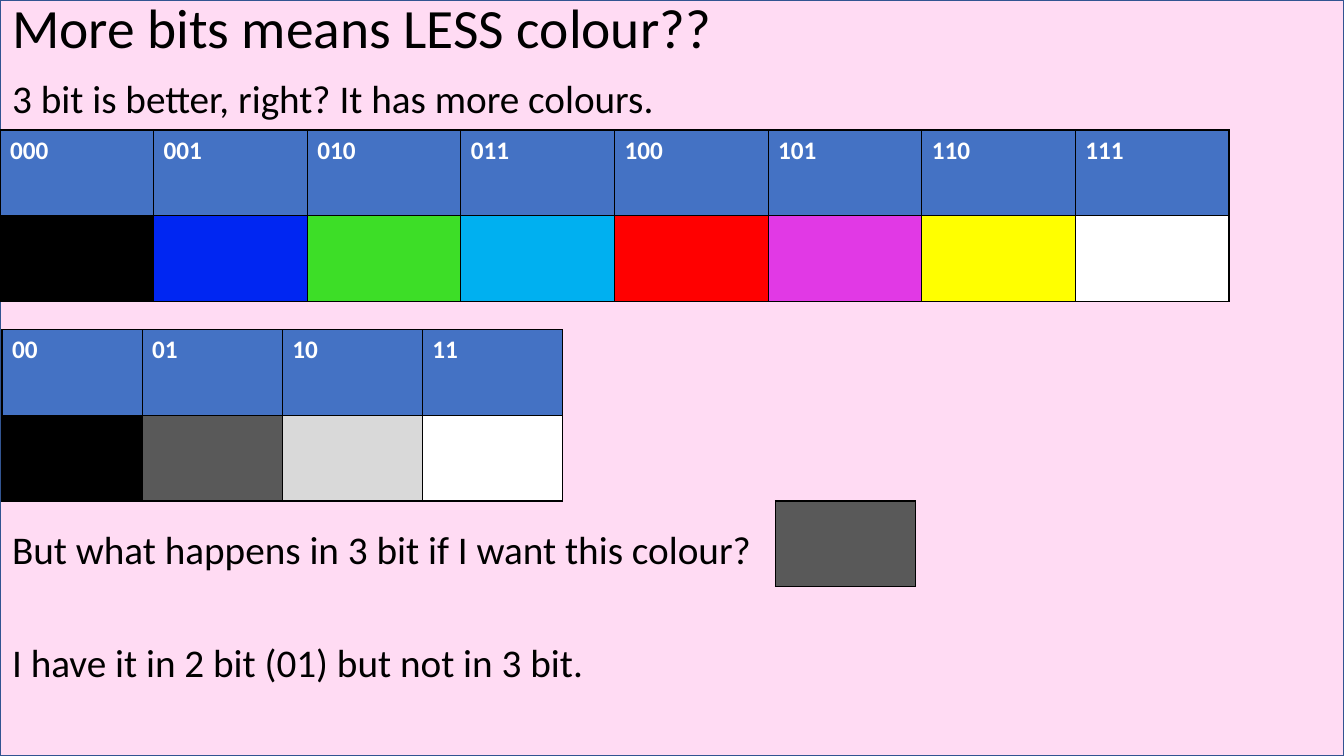
"""Build a slide comparing 3 bit and 2 bit colour palettes."""
from lxml.etree import SubElement
from pptx import Presentation
from pptx.dml.color import RGBColor
from pptx.enum.shapes import MSO_SHAPE
from pptx.enum.text import MSO_ANCHOR, MSO_AUTO_SIZE, PP_ALIGN
from pptx.oxml.ns import qn
from pptx.util import Inches, Pt

FONT = "Calibri"
PINK = RGBColor(0xFF, 0x8A, 0xD8)
NAVY = RGBColor(0x32, 0x54, 0x91)
HEADER_BLUE = RGBColor(0x44, 0x72, 0xC4)
BLACK = RGBColor(0x00, 0x00, 0x00)
WHITE = RGBColor(0xFF, 0xFF, 0xFF)
BLUE = RGBColor(0x00, 0x26, 0xF2)
GREEN = RGBColor(0x3D, 0xDE, 0x27)
CYAN = RGBColor(0x00, 0xB0, 0xF0)
RED = RGBColor(0xFF, 0x00, 0x00)
MAGENTA = RGBColor(0xE1, 0x39, 0xE5)
YELLOW = RGBColor(0xFF, 0xFF, 0x00)
DARK_GREY = RGBColor(0x59, 0x59, 0x59)
LIGHT_GREY = RGBColor(0xD9, 0xD9, 0xD9)

THREE_BIT = [BLACK, BLUE, GREEN, CYAN, RED, MAGENTA, YELLOW, WHITE]
TWO_BIT = [BLACK, DARK_GREY, LIGHT_GREY, WHITE]
ROW_HEIGHT = 0.85
SENTENCES = [
    ("3 bit is better, right? It has more colours.", 0),
    ("But what happens in 3 bit if I want this colour?", 292),
    ("I have it in 2 bit (01) but not in 3 bit.", 50),
]


def place(shape, left, top, width, height):
    """Set the position and size of a shape in inches."""
    shape.left, shape.top = Inches(left), Inches(top)
    shape.width, shape.height = Inches(width), Inches(height)


def add_run(paragraph, text, size, color, bold=False):
    """Add one formatted run to a paragraph."""
    run = paragraph.add_run()
    run.text = text
    run.font.name, run.font.size, run.font.bold = FONT, Pt(size), bold
    run.font.color.rgb = color


def add_background(slide):
    """Put the translucent pink panel behind everything else."""
    panel = slide.shapes.add_shape(
        MSO_SHAPE.RECTANGLE, 0, 0, Inches(13.33), Inches(7.5))
    panel.shadow.inherit = False
    panel.fill.solid()
    panel.fill.fore_color.rgb = PINK
    color = panel.fill._xPr.find(qn("a:solidFill")).find(qn("a:srgbClr"))
    SubElement(color, qn("a:alpha"), val="30000")
    panel.line.color.rgb = NAVY
    panel.line.width = Pt(1)
    slide.shapes.title._element.addprevious(panel._element)


def fill_title(title, text):
    """Place and format the title."""
    place(title, 0.02, 0, 13.31, 0.6)
    frame = title.text_frame
    frame.auto_size = MSO_AUTO_SIZE.NONE
    frame.vertical_anchor = MSO_ANCHOR.MIDDLE
    paragraph = frame.paragraphs[0]
    paragraph.alignment = PP_ALIGN.LEFT
    paragraph.line_spacing = 0.9
    add_run(paragraph, text, 39.6, BLACK)


def fill_body(body, sentences):
    """Place the body and write unbulleted sentences with the gaps above them."""
    place(body, 0.02, 0.74, 13.31, 6.76)
    frame = body.text_frame
    frame.auto_size = MSO_AUTO_SIZE.NONE
    frame.vertical_anchor = MSO_ANCHOR.TOP
    for index, (text, gap) in enumerate(sentences):
        paragraph = frame.add_paragraph() if index else frame.paragraphs[0]
        properties = paragraph._p.get_or_add_pPr()
        properties.set("marL", "0")
        properties.set("indent", "0")
        SubElement(properties, qn("a:buNone"))
        paragraph.line_spacing = 0.9
        paragraph.space_before = Pt(gap)
        add_run(paragraph, text, 28, BLACK)


def paint_cell(cell, color):
    """Give a cell thin black borders and a solid fill."""
    properties = cell._tc.get_or_add_tcPr()
    for side in ("lnL", "lnR", "lnT", "lnB"):
        border = SubElement(properties, qn(f"a:{side}"), w=str(Pt(1)))
        border_fill = SubElement(border, qn("a:solidFill"))
        SubElement(border_fill, qn("a:srgbClr"), val=str(BLACK))
    cell.fill.solid()
    cell.fill.fore_color.rgb = color


def add_palette(slide, left, top, column_width, colors, bits=0):
    """Add a row of colours, headed by binary codes when bits is given."""
    rows = 2 if bits else 1
    table = slide.shapes.add_table(
        rows, len(colors), Inches(left), Inches(top),
        Inches(column_width * len(colors)), Inches(ROW_HEIGHT * rows)).table
    table.first_row = table.horz_banding = False
    for row in table.rows:
        row.height = Inches(ROW_HEIGHT)
    for index, color in enumerate(colors):
        table.columns[index].width = Inches(column_width)
        paint_cell(table.cell(rows - 1, index), color)
        if bits:
            header = table.cell(0, index)
            paint_cell(header, HEADER_BLUE)
            add_run(header.text_frame.paragraphs[0],
                    f"{index:0{bits}b}", 18, WHITE, bold=True)


def main():
    """Build and save the slide."""
    presentation = Presentation()
    presentation.slide_width = Inches(13.33)
    presentation.slide_height = Inches(7.5)
    slide = presentation.slides.add_slide(presentation.slide_layouts[1])
    add_background(slide)
    fill_title(slide.shapes.title, "More bits means LESS colour??")
    fill_body(slide.placeholders[1], SENTENCES)
    add_palette(slide, 0, 1.29, 1.524, THREE_BIT, bits=3)
    add_palette(slide, 0.02, 3.27, 1.39, TWO_BIT, bits=2)
    add_palette(slide, 7.69, 4.97, 1.39, [DARK_GREY])
    presentation.save("out.pptx")


if __name__ == "__main__":
    main()
